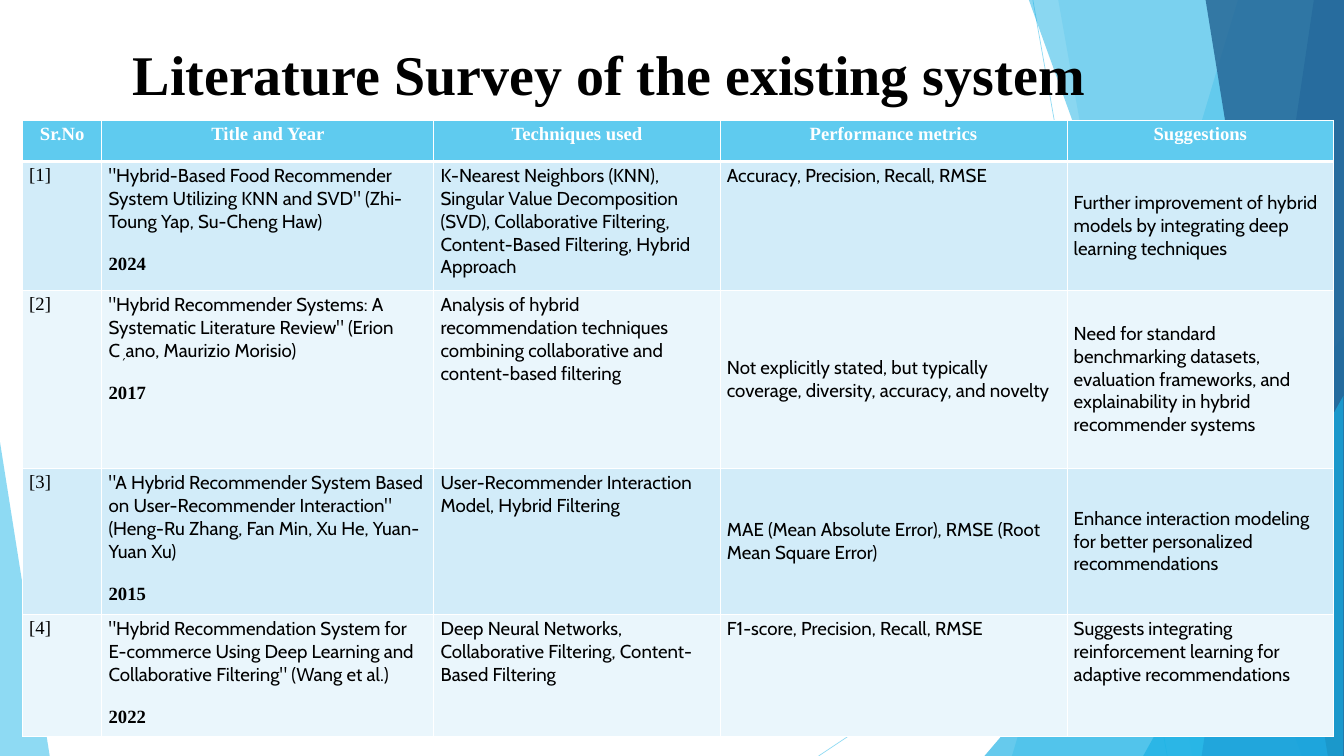
import pptx
import pptx.dml.color
import pptx.enum.shapes
import pptx.enum.text
import pptx.oxml.ns
import pptx.util
from lxml import etree

Cm, Pt = pptx.util.Cm, pptx.util.Pt
qn = pptx.oxml.ns.qn
ALIGN = pptx.enum.text.PP_ALIGN
ANCHOR = pptx.enum.text.MSO_ANCHOR

COLORS = {
    "sky": "5FCBEF", "azure": "17B0E4", "blue": "2E83C3", "navy": "226292",
    "odd_row": "D2ECF9", "even_row": "EAF6FC", "white": "FFFFFF", "black": "000000",
}
SERIF, SANS = "Times New Roman", "Cabin"
WIDTH, HEIGHT = 50.8, 28.58

COLUMN_WIDTHS = [3, 12.55, 10.82, 13.11, 10.08]
ROW_HEIGHTS = [1.55, 4.88, 6.73, 5.51, 4.62]
HEADINGS = ["Sr.No", "Title and Year", "Techniques used", "Performance metrics", "Suggestions"]
# title, year, techniques, metrics, suggestions
PAPERS = [
    ('"Hybrid-Based Food Recommender System Utilizing KNN and SVD" (Zhi-Toung Yap, Su-Cheng Haw)',
     "2024",
     "K-Nearest Neighbors (KNN), Singular Value Decomposition (SVD), Collaborative Filtering, "
     "Content-Based Filtering, Hybrid Approach",
     "Accuracy, Precision, Recall, RMSE",
     "Further improvement of hybrid models by integrating deep learning techniques"),
    ('"Hybrid Recommender Systems: A Systematic Literature Review" (Erion C¸ano, Maurizio Morisio)',
     "2017",
     "Analysis of hybrid recommendation techniques combining collaborative and "
     "content-based filtering",
     "Not explicitly stated, but typically coverage, diversity, accuracy, and novelty",
     "Need for standard benchmarking datasets, evaluation frameworks, and explainability "
     "in hybrid recommender systems"),
    ('"A Hybrid Recommender System Based on User-Recommender Interaction" '
     "(Heng-Ru Zhang, Fan Min, Xu He, Yuan-Yuan Xu)",
     "2015",
     "User-Recommender Interaction Model, Hybrid Filtering",
     "MAE (Mean Absolute Error), RMSE (Root Mean Square Error)",
     "Enhance interaction modeling for better personalized recommendations"),
    ('"Hybrid Recommendation System for E-commerce Using Deep Learning and '
     'Collaborative Filtering" (Wang et al.)',
     "2022",
     "Deep Neural Networks, Collaborative Filtering, Content-Based Filtering",
     "F1-score, Precision, Recall, RMSE",
     "Suggests integrating reinforcement learning for adaptive recommendations"),
]
MIDDLE_CELLS = {(1, 4), (2, 3), (2, 4), (3, 3), (3, 4)}  # row, column


def rgb(name):
    return pptx.dml.color.RGBColor.from_string(COLORS[name])


class SurveySlide:
    def __init__(self, slide):
        self.slide = slide
        self.shapes = slide.shapes

    def set_opacity(self, shape, percent):
        color = shape._element.spPr.find(".//" + qn("a:srgbClr"))
        etree.SubElement(color, qn("a:alpha"), val=str(percent * 1000))

    def paint(self, shape, color, opacity):
        shape.shadow.inherit = False
        shape.fill.solid()
        shape.fill.fore_color.rgb = rgb(color)
        shape.line.fill.background()
        self.set_opacity(shape, opacity)

    def hairline(self, x1, y1, x2, y2):
        line = self.shapes.add_connector(
            pptx.enum.shapes.MSO_CONNECTOR.STRAIGHT, Cm(x1), Cm(y1), Cm(x2), Cm(y2))
        line.line.color.rgb = rgb("sky")
        line.line.width = Pt(0.75)
        self.set_opacity(line, 70)
        etree.SubElement(line._element.spPr, qn("a:effectLst"))

    def shard(self, top_x, bottom_x, color, opacity):
        """Full-height facet from a slanted left edge to the right slide edge."""
        builder = self.shapes.build_freeform(Cm(top_x), 0)
        corners = [(WIDTH, 0), (WIDTH, HEIGHT), (bottom_x, HEIGHT)]
        builder.add_line_segments([(Cm(x), Cm(y)) for x, y in corners], close=True)
        self.paint(builder.convert_to_shape(), color, opacity)

    def triangle(self, left, top, width, apex, color, opacity):
        """Triangle standing on the bottom slide edge; apex 0 is left, 1 right."""
        shape = self.shapes.add_shape(
            pptx.enum.shapes.MSO_SHAPE.ISOSCELES_TRIANGLE,
            Cm(left), Cm(top), Cm(width), Cm(HEIGHT - top))
        shape.adjustments[0] = apex
        self.paint(shape, color, opacity)

    def run(self, paragraph, text, font, size=20, color="black", bold=False):
        run = paragraph.add_run()
        run.text = text
        run.font.name = font
        run.font.size = Pt(size)
        run.font.bold = bold
        run.font.color.rgb = rgb(color)

    def title(self, text):
        title = self.shapes.title
        title.left, title.top, title.width, title.height = Cm(4.24), Cm(1.6), Cm(39.17), Cm(2.64)
        frame = title.text_frame
        frame.word_wrap = True
        frame.auto_size = pptx.enum.text.MSO_AUTO_SIZE.NONE
        frame.vertical_anchor = ANCHOR.TOP
        frame.margin_left = Cm(0.78)
        paragraph = frame.paragraphs[0]
        paragraph.alignment = ALIGN.LEFT
        paragraph.line_spacing = 0.93
        self.run(paragraph, text, SERIF, 60, bold=True)
        # Keep the title in front of the background facets
        self.shapes._spTree.append(title._element)

    def style_cell(self, cell, fill, bottom_width=1):
        properties = cell._tc.get_or_add_tcPr()
        for side, width in (("L", 1), ("R", 1), ("T", 1), ("B", bottom_width)):
            border = etree.SubElement(properties, qn("a:ln" + side), w=str(Pt(width)))
            solid = etree.SubElement(border, qn("a:solidFill"))
            etree.SubElement(solid, qn("a:srgbClr"), val=COLORS["white"])
        cell.fill.solid()
        cell.fill.fore_color.rgb = rgb(fill)

    def survey_table(self, headings, papers):
        table = self.shapes.add_table(
            len(papers) + 1, len(headings), Cm(0.85), Cm(4.55),
            Cm(sum(COLUMN_WIDTHS)), Cm(sum(ROW_HEIGHTS))).table
        for column, width in zip(table.columns, COLUMN_WIDTHS):
            column.width = Cm(width)
        for row, height in zip(table.rows, ROW_HEIGHTS):
            row.height = Cm(height)

        for column, heading in enumerate(headings):
            cell = table.cell(0, column)
            self.style_cell(cell, "sky", bottom_width=3)
            paragraph = cell.text_frame.paragraphs[0]
            paragraph.alignment = ALIGN.CENTER
            self.run(paragraph, heading, SERIF, color="white", bold=True)

        for number, (paper, year, *findings) in enumerate(papers, 1):
            for column, text in enumerate([f"[{number}]", paper, *findings]):
                cell = table.cell(number, column)
                self.style_cell(cell, "odd_row" if number % 2 else "even_row")
                if (number, column) in MIDDLE_CELLS:
                    cell.vertical_anchor = ANCHOR.MIDDLE
                font = SERIF if column == 0 else SANS
                self.run(cell.text_frame.paragraphs[0], text, font)
            year_line = table.cell(number, 1).text_frame.add_paragraph()
            year_line.space_before = Pt(22)
            self.run(year_line, year, SERIF, bold=True)


def main():
    deck = pptx.Presentation()
    deck.slide_width, deck.slide_height = Cm(WIDTH), Cm(HEIGHT)
    survey = SurveySlide(deck.slides.add_slide(deck.slide_layouts[5]))

    survey.hairline(39.04, 0, 44.12, HEIGHT)
    survey.hairline(50.77, 15.34, 30.94, HEIGHT)
    survey.shard(46.79, 38.25, "sky", 36)
    survey.shard(40, 45.06, "sky", 20)
    survey.triangle(37.21, 12.7, 13.59, 1, "azure", 66)
    survey.shard(38.89, 49.2, "azure", 50)
    survey.shard(49.66, 45.42, "blue", 70)
    survey.shard(45.57, 50.19, "navy", 80)
    survey.triangle(43.21, 14.96, 7.57, 1, "azure", 66)
    survey.triangle(0, 16.71, 1.88, 0, "sky", 70)

    survey.title("Literature Survey of the existing system")
    survey.survey_table(HEADINGS, PAPERS)
    deck.save("out.pptx")


if __name__ == "__main__":
    main()
